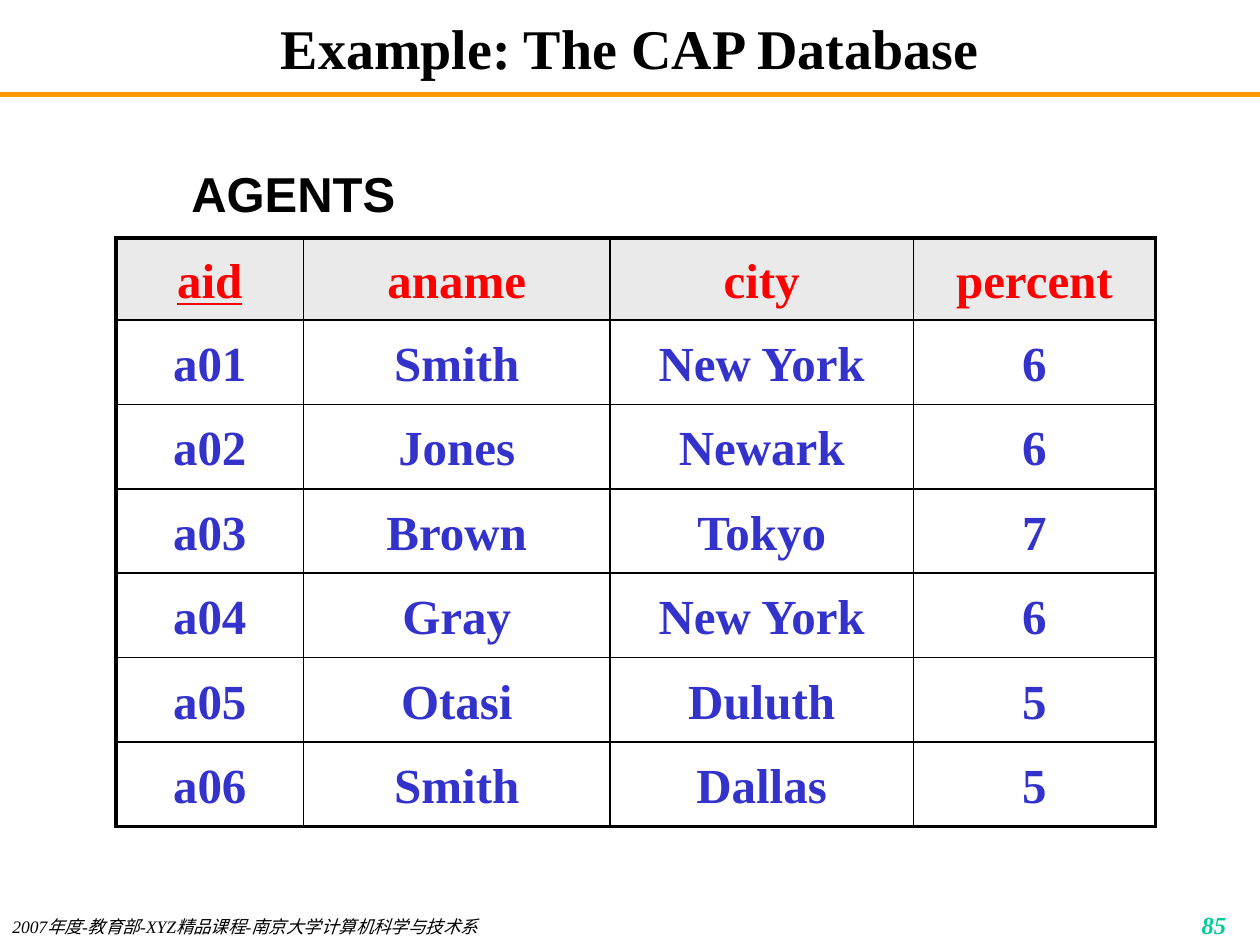
import dataclasses

import lxml.etree
import pptx
import pptx.dml.color
import pptx.enum.shapes
import pptx.enum.text
import pptx.oxml.ns
import pptx.util

Inches = pptx.util.Inches
Pt = pptx.util.Pt
ALIGN = pptx.enum.text.PP_ALIGN
ANCHOR = pptx.enum.text.MSO_ANCHOR
qn = pptx.oxml.ns.qn


@dataclasses.dataclass(frozen=True)
class Theme:
    serif: str = "Times New Roman"
    sans: str = "Arial"
    black: str = "000000"
    rule: str = "FF9900"
    number: str = "00CC99"
    heading: str = "FF0000"
    heading_fill: str = "EAEAEA"
    value: str = "3333CC"
    title_size: float = 32
    body_size: float = 28
    number_size: float = 14
    footer_size: float = 10
    rule_width: float = 3
    outer_border: float = 2.25
    inner_border: float = 1


def rgb(value):
    return pptx.dml.color.RGBColor.from_string(value)


class PageBuilder:
    def __init__(self, page, theme):
        self.page = page
        self.theme = theme

    def span(self, para, text, size, color, font=None, bold=True, italic=False, underline=False):
        span = para.add_run()
        span.text = text
        span.font.name = font or self.theme.serif
        span.font.size = Pt(size)
        span.font.bold = bold
        span.font.italic = italic
        span.font.underline = underline
        span.font.color.rgb = rgb(color)

    def text(self, text, left, top, width, height, size, color,
             align=ALIGN.LEFT, anchor=ANCHOR.TOP, **style):
        box = self.page.shapes.add_textbox(Inches(left), Inches(top), Inches(width), Inches(height))
        box.text_frame.word_wrap = True
        box.text_frame.vertical_anchor = anchor
        para = box.text_frame.paragraphs[0]
        para.alignment = align
        self.span(para, text, size, color, **style)

    def rule(self, left, right, y):
        line = self.page.shapes.add_connector(
            pptx.enum.shapes.MSO_CONNECTOR.STRAIGHT,
            Inches(left), Inches(y), Inches(right), Inches(y))
        line.line.color.rgb = rgb(self.theme.rule)
        line.line.width = Pt(self.theme.rule_width)
        lxml.etree.SubElement(line._element.spPr, qn("a:effectLst"))

    def border(self, cell, side, width):
        edge = lxml.etree.Element(qn(f"a:ln{side}"), w=str(Pt(width)))
        fill = lxml.etree.SubElement(edge, qn("a:solidFill"))
        lxml.etree.SubElement(fill, qn("a:srgbClr"), val=self.theme.black)
        return edge

    def cell(self, cell, text, is_header, is_key, outer_sides):
        theme = self.theme
        cell.vertical_anchor = ANCHOR.MIDDLE
        para = cell.text_frame.paragraphs[0]
        para.alignment = ALIGN.CENTER
        para.line_spacing = 1.1
        self.span(para, text, theme.body_size, theme.heading if is_header else theme.value,
                  underline=is_header and is_key)
        if is_header:
            cell.fill.solid()
            cell.fill.fore_color.rgb = rgb(theme.heading_fill)
        else:
            cell.fill.background()
        # Borders come before the fill in the cell properties
        properties = cell._tc.get_or_add_tcPr()
        for index, side in enumerate("LRTB"):
            width = theme.outer_border if side in outer_sides else theme.inner_border
            properties.insert(index, self.border(cell, side, width))

    def table(self, records, left, top, widths, heights):
        table = self.page.shapes.add_table(
            len(heights), len(widths), Inches(left), Inches(top),
            Inches(sum(widths)), Inches(sum(heights))).table
        table.first_row = table.horz_banding = False
        for column, width in zip(table.columns, widths):
            column.width = Inches(width)
        for row, height in zip(table.rows, heights):
            row.height = Inches(height)
        last_row, last_column = len(heights) - 1, len(widths) - 1
        for r, record in enumerate(records):
            for c, text in enumerate(record):
                edges = {"L": c == 0, "R": c == last_column, "T": r == 0, "B": r == last_row}
                outer_sides = [side for side, is_outer in edges.items() if is_outer]
                self.cell(table.cell(r, c), text, r == 0, c == 0, outer_sides)


AGENTS = [
    ("aid", "aname", "city", "percent"),
    ("a01", "Smith", "New York", "6"),
    ("a02", "Jones", "Newark", "6"),
    ("a03", "Brown", "Tokyo", "7"),
    ("a04", "Gray", "New York", "6"),
    ("a05", "Otasi", "Duluth", "5"),
    ("a06", "Smith", "Dallas", "5"),
]


def main():
    deck = pptx.Presentation()
    deck.slide_width, deck.slide_height = Inches(10), Inches(7.5)
    theme = Theme()
    builder = PageBuilder(deck.slides.add_slide(deck.slide_layouts[6]), theme)

    # Rule under the title
    builder.rule(0, 10, 0.75)

    # Footer and page number
    builder.text("2007年度-教育部-XYZ精品课程-南京大学计算机科学与技术系", 0, 7.22, 6.1, 0.28,
                 theme.footer_size, theme.black, bold=False, italic=True)
    builder.text("85", 7.75, 7.17, 2.08, 0.25, theme.number_size, theme.number,
                 align=ALIGN.RIGHT, italic=True)

    # Title
    builder.text("Example: The CAP Database", 0.75, 0.08, 8.5, 0.58, theme.title_size, theme.black,
                 align=ALIGN.CENTER, anchor=ANCHOR.MIDDLE)

    # Agents table and its caption
    builder.table(AGENTS, 0.92, 1.89, [1.49, 2.43, 2.41, 1.92], [0.65] + [0.67] * 6)
    builder.text("AGENTS", 1.42, 1.25, 2.62, 0.57, theme.body_size, theme.black, font=theme.sans)

    deck.save("out.pptx")


if __name__ == "__main__":
    main()
